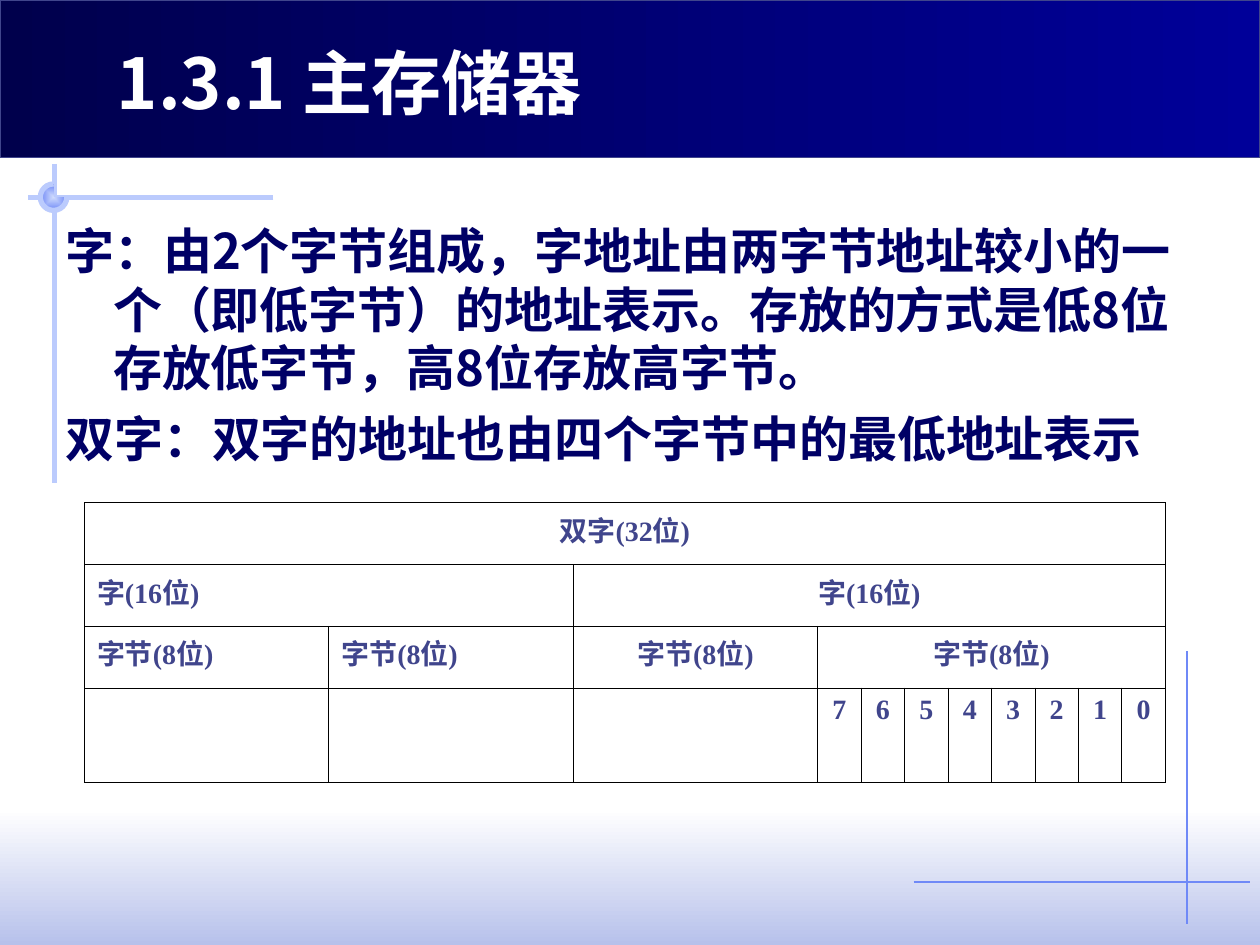
from lxml import etree
from pptx import Presentation
from pptx.dml.color import RGBColor
from pptx.enum.shapes import MSO_CONNECTOR, MSO_SHAPE as SHAPE
from pptx.enum.text import MSO_AUTO_SIZE as FIT, PP_ALIGN as ALIGN
from pptx.oxml import parse_xml
from pptx.oxml.ns import nsdecls, qn
from pptx.util import Inches, Pt

WHITE = RGBColor(0xFF, 0xFF, 0xFF)
NAVY = RGBColor(0x00, 0x00, 0x66)
DEEP = RGBColor(0x00, 0x00, 0x4C)
ROYAL = RGBColor(0x00, 0x00, 0x99)
SLATE = RGBColor(0x40, 0x45, 0x8C)
SKY = RGBColor(0x6F, 0x89, 0xF7)
PALE = RGBColor(0xBB, 0xCB, 0xFD)
ICE = RGBColor(0xCF, 0xDB, 0xFD)
HAZE = RGBColor(0xB7, 0xC1, 0xEB)

SANS = "Noto Sans CJK SC"
TITLE = {"size": Pt(40), "name": "Noto Sans CJK JP", "bold": True}
BODY = {"size": Pt(28), "name": SANS, "bold": True}
CELL = {"size": Pt(16), "name": "Times New Roman", "bold": True}


class SlideBuilder:
    def __init__(self, slide):
        self.slide = slide
        self.shapes = slide.shapes

    def add_span(self, para, text, style, color, east=None):
        span = para.add_run()
        span.text = text
        for key, value in style.items():
            setattr(span.font, key, value)
        span.font.color.rgb = color
        face = etree.SubElement(span.font._element, qn("a:ea"))
        face.set("typeface", east or style["name"])

    def shape(self, kind, place, colors, angle=None, line=None, width=0.74):
        shape = self.shapes.add_shape(kind, *map(Inches, place))
        shape.shadow.inherit = False
        shape.fill.gradient()
        for stop, color, spot in zip(shape.fill.gradient_stops, colors, (0, 1)):
            stop.color.rgb = color
            stop.position = spot
        if angle is None:
            linear = next(shape._element.iter(qn("a:lin")))
            linear.getparent().replace(linear, parse_xml(
                f'<a:path {nsdecls("a")} path="rect">'
                '<a:fillToRect l="50000" t="50000" r="50000" b="50000"/></a:path>'))
        else:
            shape.fill.gradient_angle = angle
        if line is None:
            shape.line.fill.background()
        else:
            shape.line.color.rgb = line
            shape.line.width = Pt(width)
        return shape

    def line(self, ends, color, width):
        line = self.shapes.add_connector(MSO_CONNECTOR.STRAIGHT, *map(Inches, ends))
        line.line.color.rgb = color
        line.line.width = Pt(width)
        etree.SubElement(line._element.spPr, qn("a:effectLst"))

    def text(self, place, texts, style, color, pitch, gap=0, hang=0, fit=FIT.NONE):
        box = self.shapes.add_textbox(*map(Inches, place))
        frame = box.text_frame
        frame.word_wrap = True
        frame.auto_size = fit
        for index, text in enumerate(texts):
            para = frame.add_paragraph() if index else frame.paragraphs[0]
            para.line_spacing = Pt(pitch)
            if index:
                para.space_before = Pt(gap)
            if hang:
                props = para._p.get_or_add_pPr()
                props.set("marL", str(Inches(hang)))
                props.set("indent", str(-Inches(hang)))
            self.add_span(para, text, style, color)

    def border(self, cell):
        props = cell._tc.get_or_add_tcPr()
        for index, side in enumerate("LRTB"):
            props.insert(index, parse_xml(
                f'<a:ln{side} {nsdecls("a")} w="{Pt(0.45)}"><a:solidFill>'
                f'<a:srgbClr val="000000"/></a:solidFill></a:ln{side}>'))

    def table(self, place, widths, heights, entries):
        size = len(heights), len(widths)
        table = self.shapes.add_table(*size, *map(Inches, place)).table
        table.first_row = table.horz_banding = False
        for column, width in zip(table.columns, widths):
            column.width = Inches(width)
        for row, height in zip(table.rows, heights):
            row.height = Inches(height)
        for cell in table.iter_cells():
            cell.fill.background()
            self.border(cell)
        for row, column, count, text, align in entries:
            cell = table.cell(row, column)
            if count > 1:
                cell.merge(table.cell(row, column + count - 1))
            para = cell.text_frame.paragraphs[0]
            para.alignment = align
            self.add_span(para, text, CELL, SLATE, SANS)


deck = Presentation()
deck.slide_width, deck.slide_height = Inches(10), Inches(7.5)
page = SlideBuilder(deck.slides.add_slide(deck.slide_layouts[6]))

page.shape(SHAPE.RECTANGLE, (0, 6.42, 10, 1.08), (WHITE, HAZE), angle=270)
page.line((9.42, 5.17, 9.42, 7.33), SKY, 0.74)
page.line((2.17, 1.57, 0.22, 1.57), PALE, 3)
page.line((0.43, 1.3, 0.43, 3.83), PALE, 3)
knot = page.shape(SHAPE.ARC, (0.32, 1.46, 0.21, 0.21), (ICE, SKY), line=PALE, width=3)
knot.adjustments[0] = 0
knot.adjustments[1] = 162
page.shape(SHAPE.RECTANGLE, (0, 0, 10, 1.25), (ROYAL, DEEP), angle=180, line=SLATE)
page.line((7.25, 7, 9.92, 7), SKY, 0.74)

page.text((0.42, 1.7, 9.07, 2.4), (
    "字：由2个字节组成，字地址由两字节地址较小的一个（即低字节）的地址表示。"
    "存放的方式是低8位存放低字节，高8位存放高字节。",
    "双字：双字的地址也由四个字节中的最低地址表示",
), BODY, NAVY, pitch=33.6, gap=7, hang=0.38)
page.text((0.83, 0.21, 7.95, 0.77), ("1.3.1 主存储器",), TITLE, WHITE,
          pitch=52, fit=FIT.SHAPE_TO_FIT_TEXT)

entries = [
    (0, 0, 11, "双字(32位)", ALIGN.CENTER),
    (1, 0, 2, "字(16位)", ALIGN.LEFT),
    (1, 2, 9, "字(16位)", ALIGN.CENTER),
]
for column in range(4):
    align = ALIGN.LEFT if column < 2 else ALIGN.CENTER
    entries.append((2, column, 8 if column == 3 else 1, "字节(8位)", align))
for bit in range(8):
    entries.append((3, 10 - bit, 1, str(bit), ALIGN.CENTER))
page.table((0.67, 3.99, 8.58, 2.2), [1.94] * 3 + [2.76 / 8] * 8,
           [0.49] * 3 + [0.75], entries)

deck.save("out.pptx")
